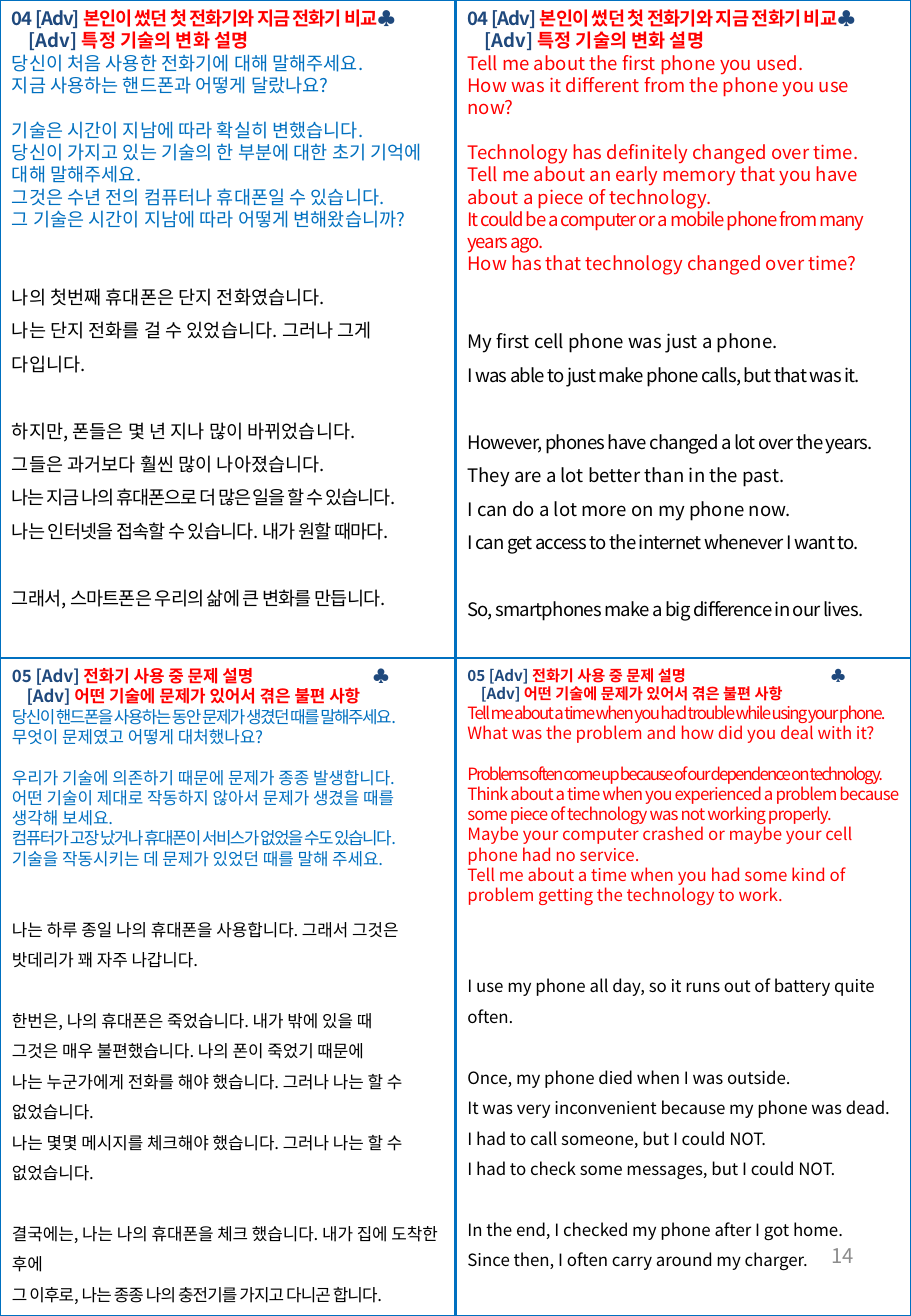
"""Build a four-panel Korean and English speaking-practice page."""
from lxml import etree
from pptx import Presentation
from pptx.dml.color import RGBColor
from pptx.enum.shapes import MSO_CONNECTOR, MSO_SHAPE
from pptx.enum.text import MSO_ANCHOR, MSO_AUTO_SIZE, PP_ALIGN
from pptx.oxml.ns import qn
from pptx.util import Inches, Pt

RECT, STRAIGHT = MSO_SHAPE.RECTANGLE, MSO_CONNECTOR.STRAIGHT
MIDDLE, RIGHT, GROW = MSO_ANCHOR.MIDDLE, PP_ALIGN.RIGHT, MSO_AUTO_SIZE.SHAPE_TO_FIT_TEXT
TOP_SIDE, LEFT_SIDE, BOTTOM_SIDE, RIGHT_SIDE = range(4)
FONT = "Noto Sans CJK KR"
NAVY, RED, BLUE, BLACK, GREY = "1F497D", "FF0000", "0070C0", "000000", "8C8C8C"
WIDTH, HEIGHT = 7.5, 10.83
SINGLE, WIDE, LINE_HEIGHT = 1, 1.5, 1.2

PHONES = ("04", "본인이 썼던 첫 전화기와 지금 전화기 비교", "특정 기술의 변화 설명")
TROUBLE = ("05", "전화기 사용 중 문제 설명", "어떤 기술에 문제가 있어서 겪은 불편 사항")

# Each group is a block of lines; a line is text or (text, letter spacing).
PANELS = [
    {"at": (0, 0.01, 3.75, 5.06), "head": PHONES, "head_size": 11, "size": 11,
     "head_spc": -0.6, "indent": 0.14, "club": None, "color": BLUE, "answer_ls": SINGLE,
     "question": [
         ["당신이 처음 사용한 전화기에 대해 말해주세요.",
          "지금 사용하는 핸드폰과 어떻게 달랐나요?"],
         ["기술은 시간이 지남에 따라 확실히 변했습니다.",
          "당신이 가지고 있는 기술의 한 부분에 대한 초기 기억에 대해 말해주세요.",
          "그것은 수년 전의 컴퓨터나 휴대폰일 수 있습니다.",
          "그 기술은 시간이 지남에 따라 어떻게 변해왔습니까?"]],
     "answer": [
         ["나의 첫번째 휴대폰은 단지 전화였습니다.",
          "나는 단지 전화를 걸 수 있었습니다. 그러나 그게 다입니다."],
         ["하지만, 폰들은 몇 년 지나 많이 바뀌었습니다.",
          "그들은 과거보다 훨씬 많이 나아졌습니다.",
          ("나는 지금 나의 휴대폰으로 더 많은 일을 할 수 있습니다.", -0.7),
          ("나는 인터넷을 접속할 수 있습니다. 내가 원할 때마다.", -0.5)],
         [("그래서, 스마트폰은 우리의 삶에 큰 변화를 만듭니다.", -0.5)]]},
    {"at": (3.75, 0.01, 3.75, 4.97), "head": PHONES, "head_size": 11, "size": 11,
     "head_spc": -0.5, "indent": 0.14, "club": None, "color": RED, "answer_ls": SINGLE,
     "question": [
         ["Tell me about the first phone you used.",
          "How was it different from the phone you use now?"],
         ["Technology has definitely changed over time.",
          "Tell me about an early memory that you have about a piece of technology.",
          ("It could be a computer or a mobile phone from many years ago.", -0.7),
          "How has that technology changed over time?"]],
     "answer": [
         ["My first cell phone was just a phone.",
          ("I was able to just make phone calls, but that was it.", -0.5)],
         [("However, phones have changed a lot over the years.", -0.5),
          "They are a lot better than in the past.",
          "I can do a lot more on my phone now.",
          ("I can get access to the internet whenever I want to.", -0.5)],
         [("So, smartphones make a big difference in our lives.", -0.5)]]},
    {"at": (0, 5.43, 3.75, 5.37), "head": TROUBLE, "head_size": 10, "size": 10,
     "head_spc": 0, "indent": 0.12, "club": 2.97, "color": BLUE, "answer_ls": SINGLE,
     "question": [
         [("당신이 핸드폰을 사용하는 동안 문제가 생겼던 때를 말해주세요.", -0.9),
          "무엇이 문제였고 어떻게 대처했나요?"],
         ["우리가 기술에 의존하기 때문에 문제가 종종 발생합니다.",
          "어떤 기술이 제대로 작동하지 않아서 문제가 생겼을 때를 생각해 보세요.",
          ("컴퓨터가 고장 났거나 휴대폰이 서비스가 없었을 수도 있습니다.", -0.9),
          "기술을 작동시키는 데 문제가 있었던 때를 말해 주세요."]],
     "answer": [
         ["나는 하루 종일 나의 휴대폰을 사용합니다. 그래서 그것은 밧데리가 꽤 자주 나갑니다."],
         ["한번은, 나의 휴대폰은 죽었습니다. 내가 밖에 있을 때",
          "그것은 매우 불편했습니다. 나의 폰이 죽었기 때문에",
          "나는 누군가에게 전화를 해야 했습니다. 그러나 나는 할 수 없었습니다.",
          "나는 몇몇 메시지를 체크해야 했습니다. 그러나 나는 할 수 없었습니다."],
         ["결국에는, 나는 나의 휴대폰을 체크 했습니다. 내가 집에 도착한 후에",
          ("그 이후로, 나는 종종 나의 충전기를 가지고 다니곤 합니다.", -0.5)]]},
    {"at": (3.75, 5.43, 3.75, 5.08), "head": TROUBLE, "head_size": 9, "size": 10,
     "head_spc": 0, "indent": 0.11, "club": 2.99, "color": RED, "answer_ls": WIDE,
     "question": [
         [("Tell me about a time when you had trouble while using your phone.", -1),
          "What was the problem and how did you deal with it?"],
         [("Problems often come up because of our dependence on technology.", -1.1),
          ("Think about a time when you experienced a problem because some piece of "
           "technology was not working properly.", -0.5),
          "Maybe your computer crashed or maybe your cell phone had no service.",
          "Tell me about a time when you had some kind of problem getting the "
          "technology to work."]],
     "answer": [
         ["I use my phone all day, so it runs out of battery quite often."],
         ["Once, my phone died when I was outside.",
          "It was very inconvenient because my phone was dead.",
          "I had to call someone, but I could NOT.",
          "I had to check some messages, but I could NOT."],
         ["In the end, I checked my phone after I got home.",
          "Since then, I often carry around my charger."]]},
]


def rgb(color):
    return RGBColor.from_string(color)


def add_run(p, text, color, size, bold=False, spc=0):
    r = p.add_run()
    r.text = text
    for name, value in {"size": Pt(size), "bold": bold, "name": FONT}.items():
        setattr(r.font, name, value)
    r.font.color.rgb = rgb(color)
    rPr = r.font._element
    rPr.set("spc", str(round(spc * 100)))
    etree.SubElement(rPr, qn("a:ea")).set("typeface", FONT)


def add_box(s, at):
    tf = s.shapes.add_textbox(*map(Inches, at)).text_frame
    tf.word_wrap = True
    return tf


def add_heading(tf, panel):
    number, title, subtitle = panel["head"]
    size, spc, club = panel["head_size"], panel["head_spc"], panel["club"]
    p = tf.paragraphs[0]
    if club:
        tabs = etree.SubElement(p._p.get_or_add_pPr(), qn("a:tabLst"))
        etree.SubElement(tabs, qn("a:tab"), pos=str(Inches(club)), algn="l")
    add_run(p, f"{number} [Adv] ", NAVY, size, True, spc)
    add_run(p, title + ("\t" if club else ""), RED, size, True, spc)
    add_run(p, "♣", NAVY, size, True, spc)
    p = tf.add_paragraph()
    pPr = p._p.get_or_add_pPr()
    pPr.set("marL", str(Inches(panel["indent"])))
    pPr.set("indent", "0")
    add_run(p, "[Adv] ", NAVY, size, True)
    add_run(p, subtitle, RED, size, True)


def add_groups(tf, groups, color, size, spacing, first_gap):
    for i, group in enumerate(groups):
        gap = size * LINE_HEIGHT * spacing if i else first_gap
        for j, line in enumerate(group):
            text, spc = (line, 0) if isinstance(line, str) else line
            p = tf.add_paragraph()
            p.line_spacing = float(spacing)
            p.space_before = Pt(0 if j else gap)
            add_run(p, text, color, size, spc=spc)


def main():
    prs = Presentation()
    prs.slide_width, prs.slide_height = Inches(WIDTH), Inches(HEIGHT)
    s = prs.slides.add_slide(prs.slide_layouts[6])

    frame = s.shapes.add_shape(RECT, 0, 0, Inches(WIDTH), Inches(HEIGHT))
    frame.shadow.inherit = False
    frame.fill.background()
    dividers = []
    for start, end in ((LEFT_SIDE, RIGHT_SIDE), (TOP_SIDE, BOTTOM_SIDE)):
        line = s.shapes.add_connector(STRAIGHT, 0, 0, 0, 0)
        line.begin_connect(frame, start)
        line.end_connect(frame, end)
        etree.SubElement(line._element.spPr, qn("a:effectLst"))
        dividers.append(line)
    for sp in (frame, *dividers):
        sp.line.color.rgb = rgb(BLUE)
        sp.line.width = Pt(1.5)

    tf = add_box(s, (5.38, 10.04, 1.75, 0.58))
    tf.vertical_anchor = MIDDLE
    tf.paragraphs[0].alignment = RIGHT
    add_run(tf.paragraphs[0], "14", GREY, 12)

    for panel in PANELS:
        tf = add_box(s, panel["at"])
        tf.auto_size = GROW
        size = panel["size"]
        add_heading(tf, panel)
        add_groups(tf, panel["question"], panel["color"], size, SINGLE, 0)
        answer_gap = 2 * size * LINE_HEIGHT * panel["answer_ls"]
        add_groups(tf, panel["answer"], BLACK, size, WIDE, answer_gap)

    prs.save("out.pptx")


if __name__ == "__main__":
    main()
